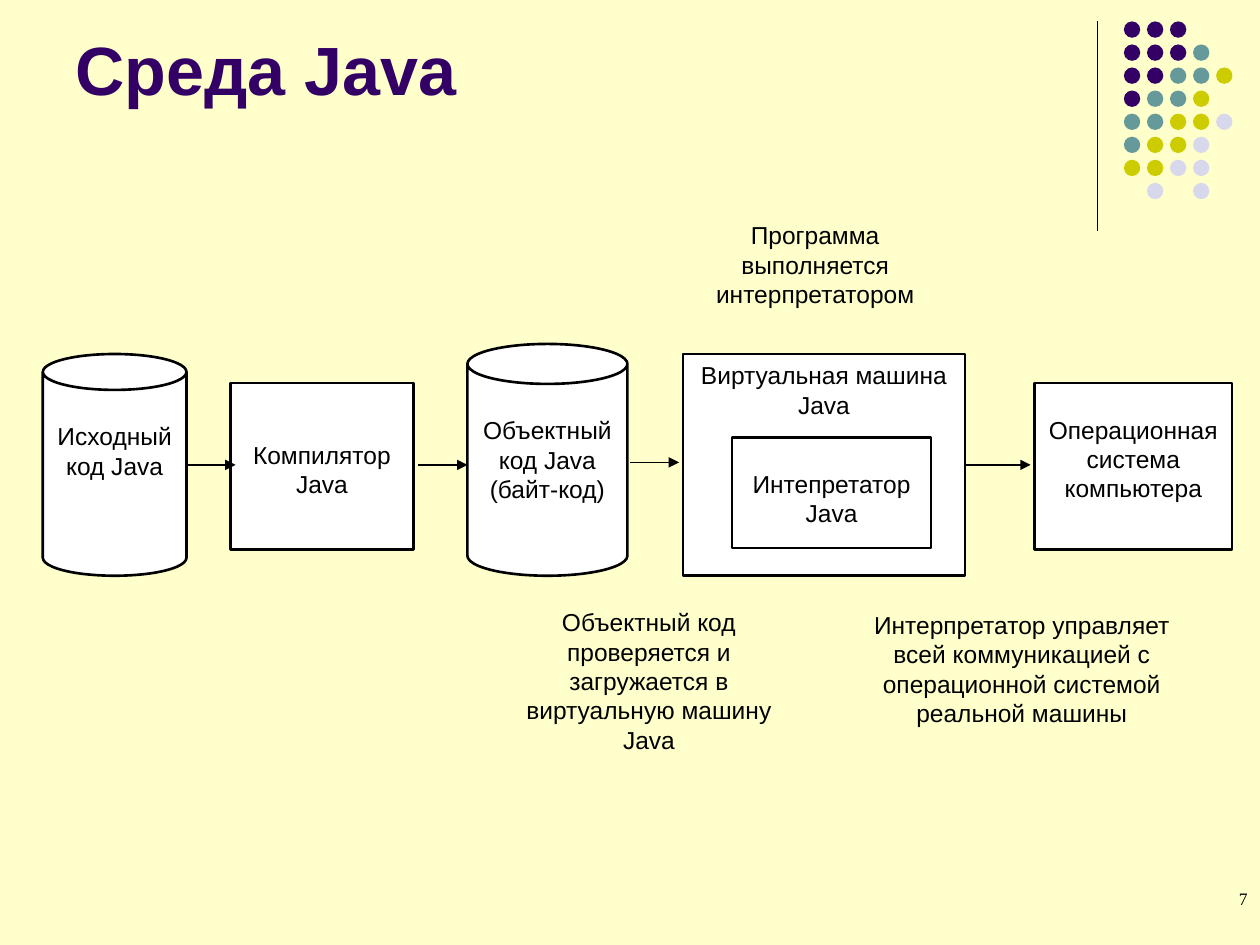
import pptx
import pptx.dml.color
import pptx.enum.shapes
import pptx.enum.text
import pptx.oxml.ns
import pptx.util
import lxml.etree

COLORS = {
    "background": "FFFFCC",
    "ink": "000000",
    "panel": "FFFFFF",
    "purple": "330066",
    "teal": "669999",
    "olive": "CCCC00",
    "lavender": "D8D8EC",
}
SHAPES = pptx.enum.shapes.MSO_SHAPE
ALIGN = pptx.enum.text.PP_ALIGN
ANCHOR = pptx.enum.text.MSO_ANCHOR
COLUMNS, ROWS = 100, 75
BLANK_LINE = 2

DOT_COLORS = {"p": "purple", "t": "teal", "o": "olive", "l": "lavender"}
DOT_ROWS = ["ppp", "pppt", "pptto", "ptto", "ttool", "tool", "ooll", " l l"]


def color(name):
    return pptx.dml.color.RGBColor.from_string(COLORS[name])


class Diagram:
    def __init__(self, deck):
        self.width = deck.slide_width
        self.height = deck.slide_height
        self.page = deck.slides.add_slide(deck.slide_layouts[5])
        fill = self.page.background.fill
        fill.solid()
        fill.fore_color.rgb = color("background")

    def x(self, columns):
        return round(self.width * columns / COLUMNS)

    def y(self, rows):
        return round(self.height * rows / ROWS)

    def place(self, left, top, width, height):
        return self.x(left), self.y(top), self.x(width), self.y(height)

    def set_text(self, shape, lines, size=14, font="Arial", ink="ink", bold=False,
                 align=ALIGN.CENTER, anchor=ANCHOR.TOP, above=0, below=0):
        frame = shape.text_frame
        frame.word_wrap = True
        frame.auto_size = pptx.enum.text.MSO_AUTO_SIZE.NONE
        frame.vertical_anchor = anchor
        frame.margin_left = frame.margin_right = self.x(1)
        frame.margin_top = self.y(0.5 + above)
        frame.margin_bottom = self.y(0.5 + below)
        frame.text = "\n".join(lines)
        for para in frame.paragraphs:
            para.alignment = align
            para.font.size = pptx.util.Pt(size)
            para.font.name = font
            para.font.bold = bold
            para.font.color.rgb = color(ink)

    def title(self, area, text):
        box = self.page.shapes.title
        box.left, box.top, box.width, box.height = self.place(*area)
        self.set_text(box, [text], size=39, ink="purple", bold=True,
                      align=ALIGN.LEFT, anchor=ANCHOR.BOTTOM, below=6.2)

    def label(self, area, text, **style):
        box = self.page.shapes.add_textbox(*self.place(*area))
        self.set_text(box, [text], **style)

    def shape(self, kind, area, fill, parent=None):
        shapes = (parent or self.page).shapes
        shape = shapes.add_shape(kind, *self.place(*area))
        shape.shadow.inherit = False
        shape.fill.solid()
        shape.fill.fore_color.rgb = color(fill)
        shape.line.fill.background()
        return shape

    def block(self, kind, area, *lines, blank=0, parent=None):
        shape = self.shape(kind, area, "panel", parent)
        shape.line.color.rgb = color("ink")
        shape.line.width = pptx.util.Pt(1.5)
        self.set_text(shape, lines, above=blank * BLANK_LINE)

    def line(self, start, end, arrow=False):
        line = self.page.shapes.add_connector(
            pptx.enum.shapes.MSO_CONNECTOR.STRAIGHT,
            self.x(start[0]), self.y(start[1]), self.x(end[0]), self.y(end[1]))
        line.line.color.rgb = color("ink")
        line.line.width = pptx.util.Pt(0.75)
        qn = pptx.oxml.ns.qn
        properties = line._element.spPr
        if arrow:
            lxml.etree.SubElement(properties.find(qn("a:ln")), qn("a:tailEnd"), type="triangle")
        lxml.etree.SubElement(properties, qn("a:effectLst"))

    def dots(self, left, top, pitch, size):
        group = self.page.shapes.add_group_shape()
        for row, keys in enumerate(DOT_ROWS):
            for column, key in enumerate(keys):
                if key in DOT_COLORS:
                    area = (left + column * pitch, top + row * pitch, size, size)
                    self.shape(SHAPES.OVAL, area, DOT_COLORS[key], group)


def main():
    deck = pptx.Presentation()
    deck.slide_width = pptx.util.Inches(10)
    deck.slide_height = pptx.util.Inches(7.5)
    diagram = Diagram(deck)

    diagram.line((87.1, 1.7), (87.1, 18.3))
    diagram.dots(89.2, 1.7, 1.83, 1.3)
    diagram.title((5, 1.3, 82.5, 14.1), "Среда Java")

    diagram.block(SHAPES.CAN, (3.4, 28.1, 11.4, 17.6), "Исходный код Java", blank=1)
    diagram.block(SHAPES.RECTANGLE, (18.3, 30.4, 14.5, 13.2), "Компилятор Java", blank=2)
    diagram.block(SHAPES.CAN, (37.1, 27.3, 12.7, 18.4),
                  "Объектный код Java", "(байт-код)", blank=1)
    machine = diagram.page.shapes.add_group_shape()
    diagram.block(SHAPES.RECTANGLE, (54.2, 28.1, 22.4, 17.6),
                  "Виртуальная машина Java", parent=machine)
    diagram.block(SHAPES.RECTANGLE, (58.1, 34.7, 15.8, 8.8),
                  "Интепретатор Java", blank=1, parent=machine)
    diagram.block(SHAPES.RECTANGLE, (82.1, 30.4, 15.7, 13.2),
                  "Операционная система компьютера", blank=1)

    for start, end, row in [(14.8, 18.7, 36.9), (33.2, 37.1, 36.9),
                            (50, 53.9, 36.7), (76.6, 81.8, 36.9)]:
        diagram.line((start, row), (end, row), arrow=True)

    diagram.label((40.4, 47.7, 22.2, 11.7),
                  "Объектный код проверяется и загружается в виртуальную машину Java")
    diagram.label((55.5, 17, 18.4, 8.8), "Программа выполняется интерпретатором")
    diagram.label((67.4, 47.9, 27.4, 10.9),
                  "Интерпретатор управляет всей коммуникацией с "
                  "операционной системой реальной машины")
    diagram.label((76.7, 70, 23.3, 5), "7", size=10, font="Times New Roman", align=ALIGN.RIGHT)

    deck.save("out.pptx")


if __name__ == "__main__":
    main()
